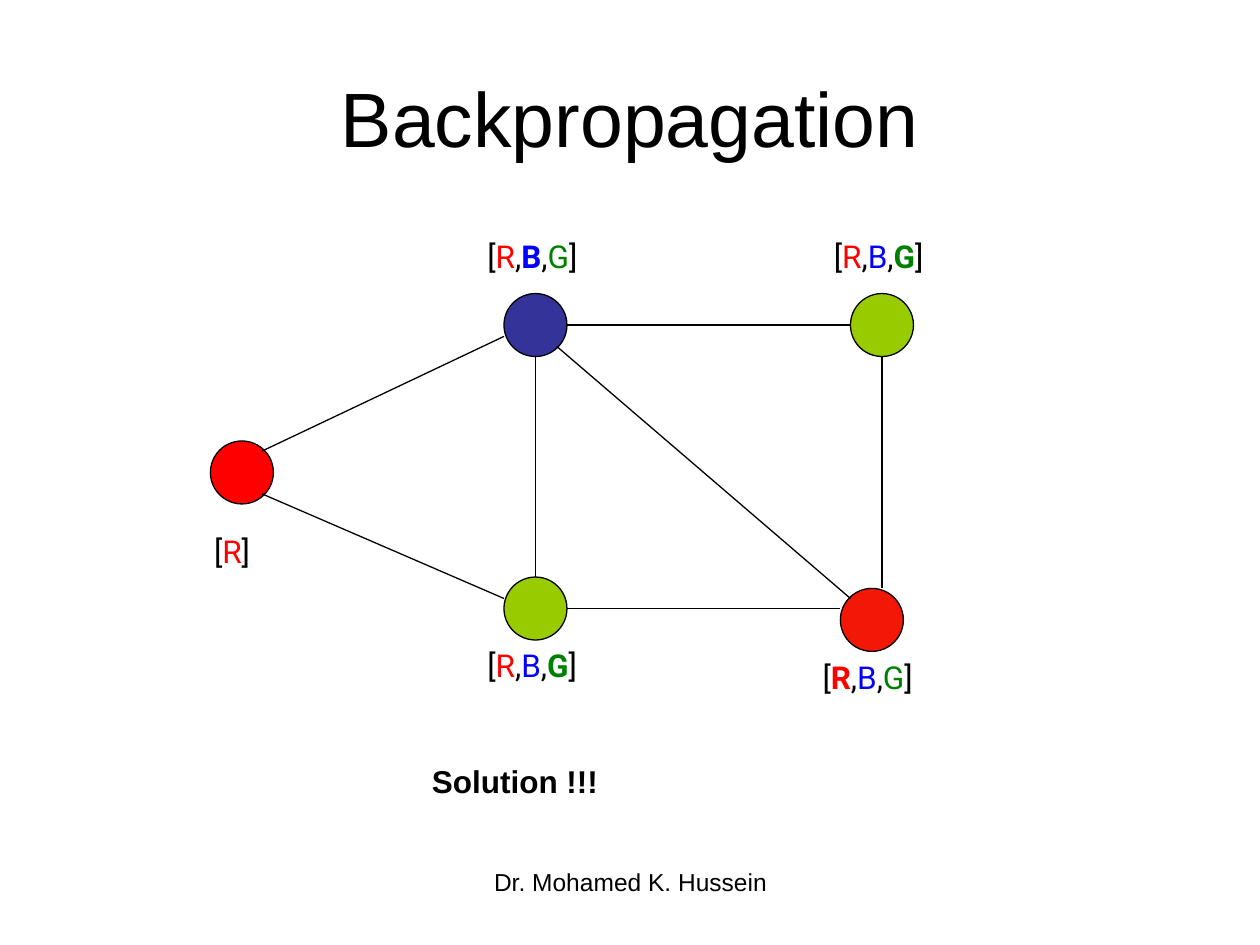
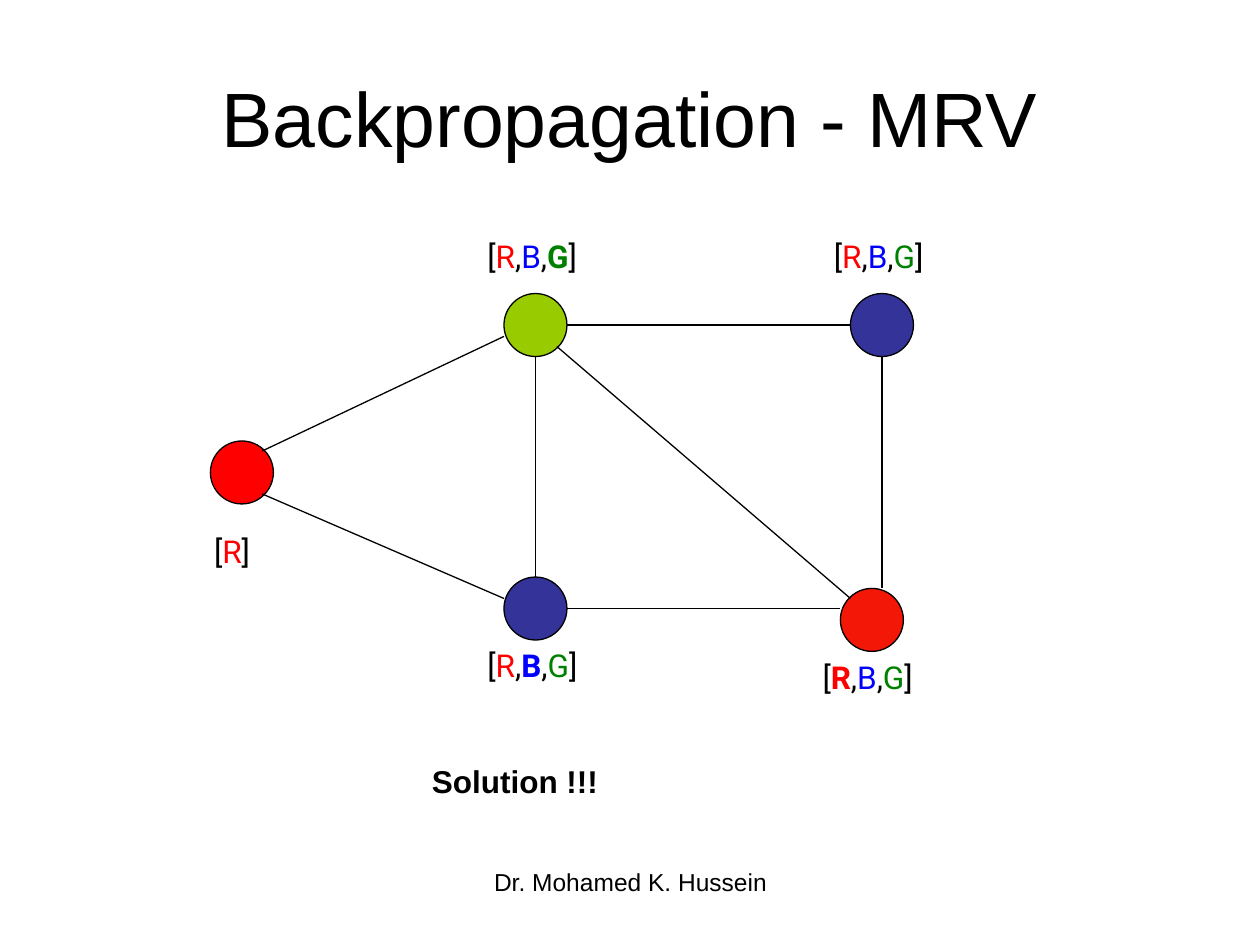
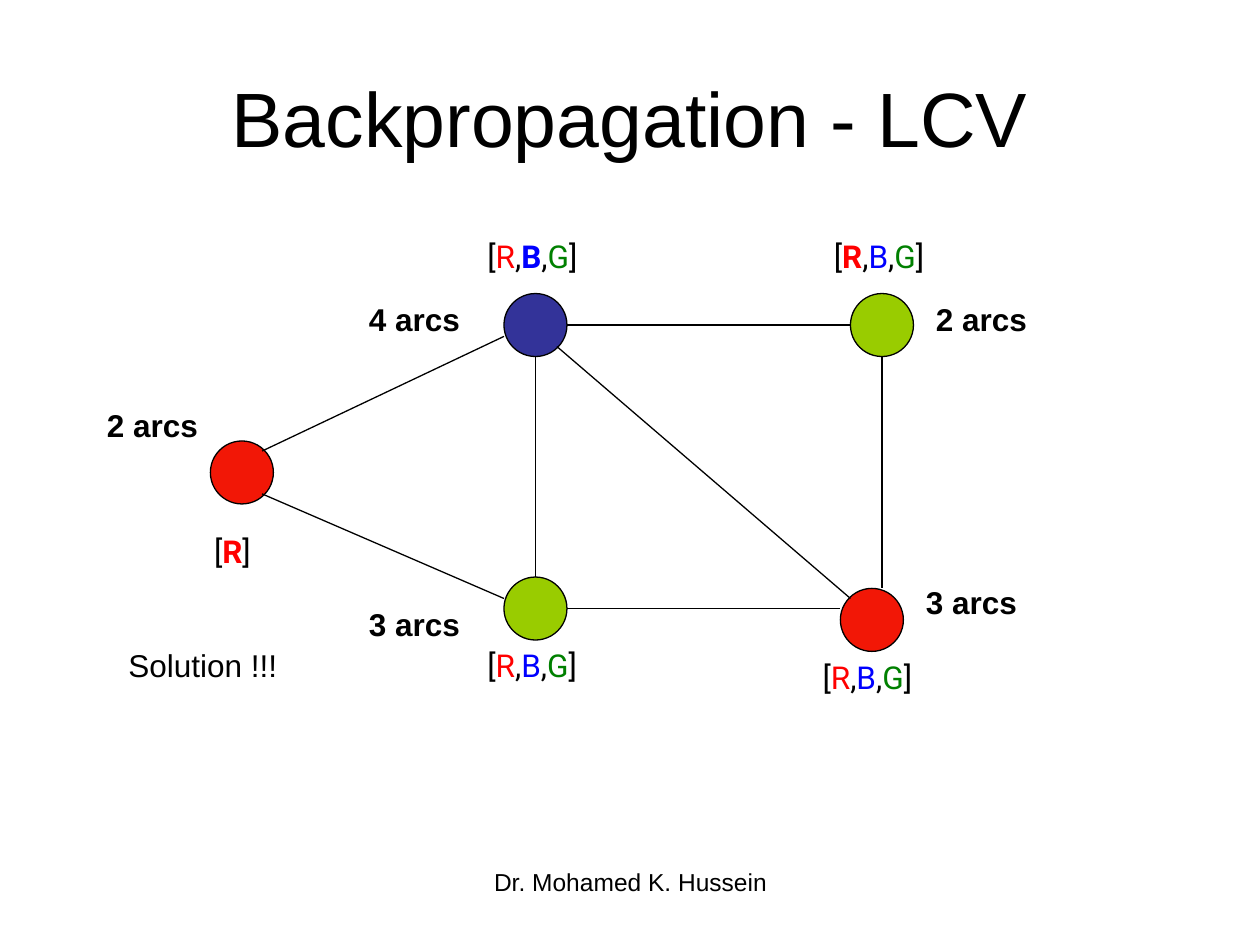
from lxml.etree import SubElement
from pptx import Presentation
from pptx.dml.color import RGBColor
from pptx.enum.shapes import MSO_CONNECTOR, MSO_SHAPE
from pptx.enum.text import MSO_ANCHOR, MSO_AUTO_SIZE, PP_ALIGN
from pptx.oxml.ns import qn
from pptx.util import Inches, Pt

COLORS = {
    "ink": "000000", "paper": "FFFFFF",
    "R": "FF0000", "B": "0000FF", "G": "008000",
    "red": "F21706", "blue": "333399", "lime": "99CC00", "pure": "FF0000",
}
SIZE = 0.5

# name: (left, top), (label left, label top), domain
NODES = {
    "west": ((1.67, 3.5), (1.6, 4.17), "R"),
    "south": ((4, 4.58), (3.77, 5.08), "RBG"),
    "north": ((4, 2.33), (3.77, 1.83), "RBG"),
    "corner": ((6.67, 4.67), (6.43, 5.17), "RBG"),
    "east": ((6.75, 2.33), (6.52, 1.83), "RBG"),
}
ARCS = [
    ((2.08, 3.58), (4, 2.67)),
    ((2.08, 3.92), (4, 4.75)),
    ((4.25, 2.83), (4.25, 4.58)),
    ((4.5, 2.58), (6.75, 2.58)),
    ((7, 2.83), (7, 4.67)),
    ((4.5, 4.83), (6.67, 4.83)),
    ((4.42, 2.75), (6.75, 4.75)),
]
COUNTS = [
    ("4 arcs", 2.83, 2.33), ("2 arcs", 7.33, 2.33), ("3 arcs", 7.25, 4.58),
    ("3 arcs", 2.83, 4.75), ("2 arcs", 0.75, 3.17),
]

# Fills and bold letters follow the order of NODES; "-" means no bold letter.
SLIDES = [
    ("Backpropagation", ["pure", "lime", "blue", "red", "lime"], "-GBRG"),
    ("Backpropagation - MRV", ["pure", "blue", "lime", "red", "blue"], "-BGR-"),
    ("Backpropagation - LCV", ["red", "lime", "blue", "red", "lime"], "R-B-R"),
]


def rgb(name):
    return RGBColor.from_string(COLORS[name])


def add_run(para, text, size, font="Arial", color="ink", bold=False):
    run = para.add_run()
    run.text = text
    run.font.size = Pt(size)
    run.font.name = font
    run.font.bold = bold
    run.font.color.rgb = rgb(color)


def add_box(slide, left, top, width, height=0.4, wrap=True, grow=True):
    """Add an empty text box and return its paragraph."""
    box = slide.shapes.add_textbox(*map(Inches, (left, top, width, height)))
    frame = box.text_frame
    frame.word_wrap = wrap
    frame.auto_size = MSO_AUTO_SIZE.SHAPE_TO_FIT_TEXT if grow else MSO_AUTO_SIZE.NONE
    return frame.paragraphs[0]


def add_title(slide, text):
    title = slide.shapes.title
    title.left, title.top, title.width, title.height = map(
        Inches, (0.5, 0.3, 9, 1.25))
    frame = title.text_frame
    frame.vertical_anchor = MSO_ANCHOR.MIDDLE
    para = frame.paragraphs[0]
    para.alignment = PP_ALIGN.CENTER
    add_run(para, text, 44)


def add_node(slide, spot, fill):
    node = slide.shapes.add_shape(
        MSO_SHAPE.OVAL, *map(Inches, (*spot, SIZE, SIZE)))
    node.shadow.inherit = False
    node.fill.solid()
    node.fill.fore_color.rgb = rgb(fill)
    node.line.color.rgb = rgb("ink")
    node.line.width = Pt(0.75)


def add_arc(slide, start, end):
    arc = slide.shapes.add_connector(
        MSO_CONNECTOR.STRAIGHT, *map(Inches, (*start, *end)))
    arc.line.color.rgb = rgb("ink")
    arc.line.width = Pt(0.75)
    SubElement(arc._element.spPr, qn("a:effectLst"))


def add_domain(slide, spot, domain, bold):
    """Write the values a node may take, with the chosen one in bold."""
    para = add_box(slide, *spot, 1 if len(domain) > 1 else 0.52, wrap=False)
    add_run(para, "[", 18, "Roboto")
    for i, value in enumerate(domain):
        if i:
            add_run(para, ",", 18, "Roboto")
        add_run(para, value, 18, "Roboto", value, value == bold)
    add_run(para, "]", 18, "Roboto")


def add_graph(slide, fills, bolds):
    for (spot, _, _), fill in zip(NODES.values(), fills):
        add_node(slide, spot, fill)
    for start, end in ARCS:
        add_arc(slide, start, end)
    for (_, spot, domain), bold in zip(NODES.values(), bolds):
        add_domain(slide, spot, domain, bold)


def add_note(slide, text, left, top, width, bold=True):
    add_run(add_box(slide, left, top, width), text, 18, bold=bold)


def add_footer(slide):
    para = add_box(slide, 3.42, 6.83, 3.17, 0.52, grow=False)
    para.alignment = PP_ALIGN.CENTER
    add_run(para, "Dr. Mohamed K. Hussein", 14)


def main():
    prs = Presentation()
    prs.slide_width, prs.slide_height = Inches(10), Inches(7.5)
    back = prs.slide_master.background.fill
    back.solid()
    back.fore_color.rgb = rgb("paper")
    for title, fills, bolds in SLIDES:
        slide = prs.slides.add_slide(prs.slide_layouts[5])
        add_title(slide, title)
        add_graph(slide, fills, bolds)
        if title.endswith("LCV"):
            for text, left, top in COUNTS:
                add_note(slide, text, left, top, 1.08)
            add_note(slide, "Solution !!!", 0.92, 5.08, 1.83, bold=False)
        else:
            add_note(slide, "Solution !!!", 3.33, 6, 1.75)
        add_footer(slide)
    prs.save("out.pptx")


if __name__ == "__main__":
    main()
